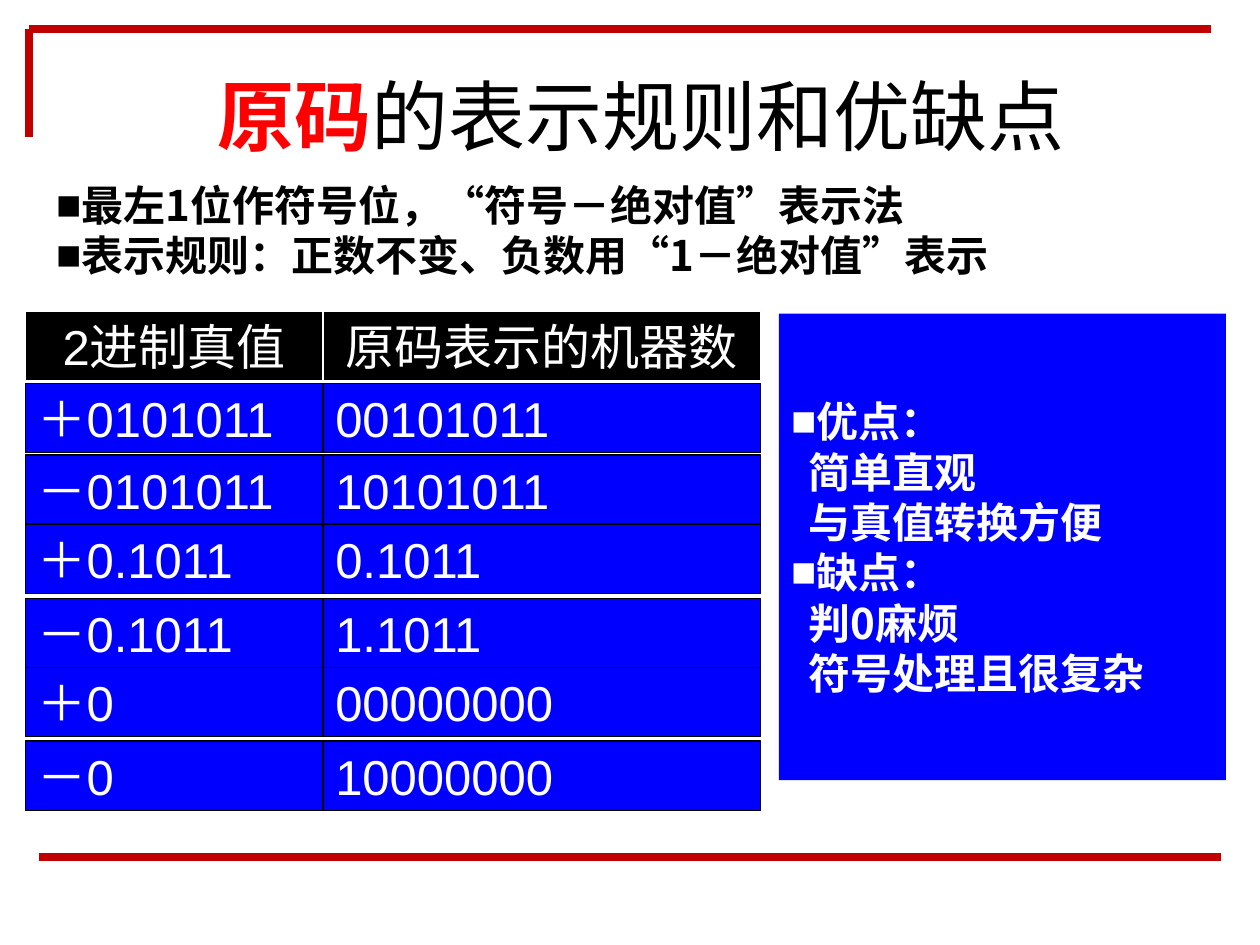
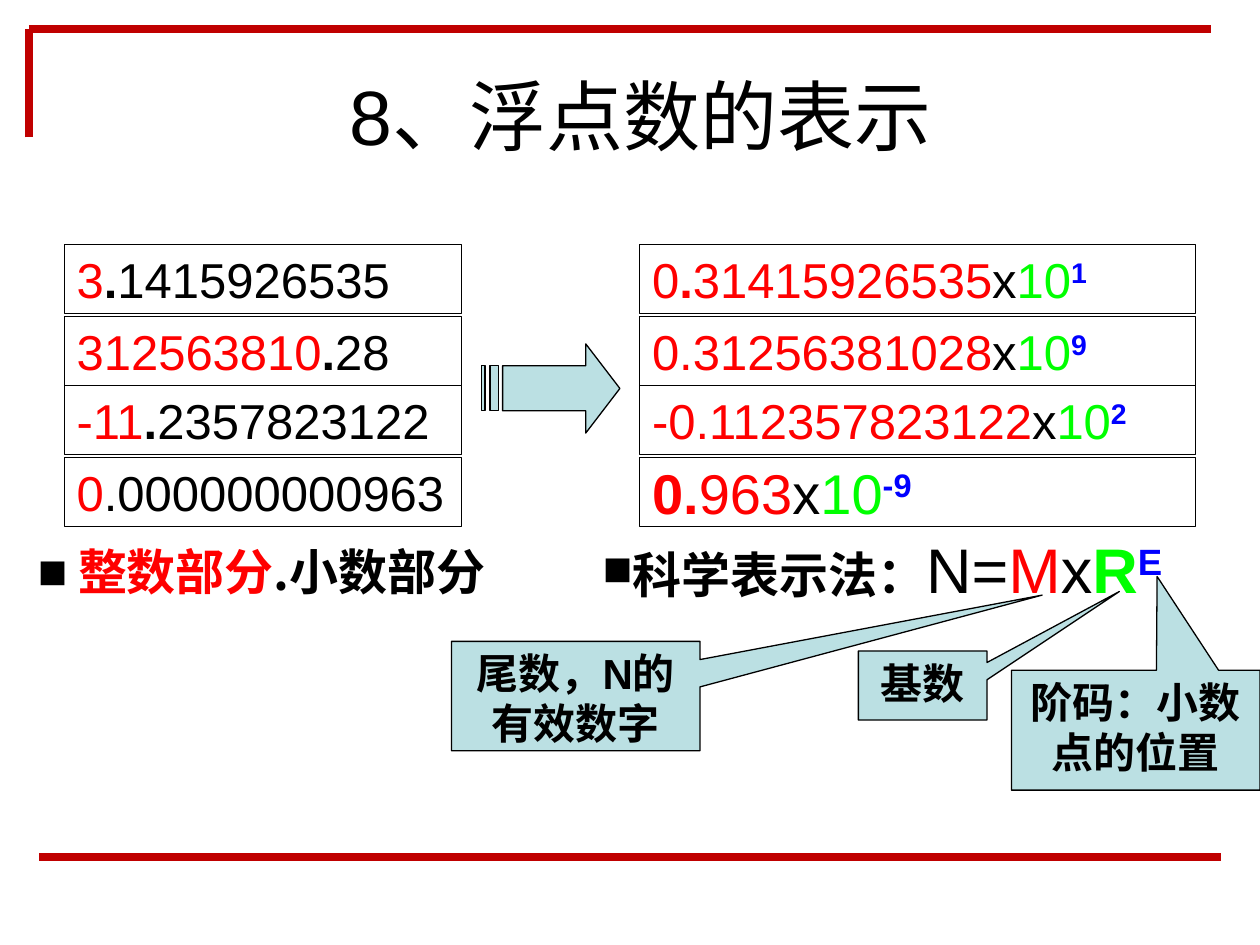
from dataclasses import dataclass

from lxml.etree import SubElement
from pptx import Presentation
from pptx.dml.color import RGBColor
from pptx.enum.shapes import MSO_CONNECTOR, MSO_SHAPE
from pptx.enum.text import MSO_ANCHOR, MSO_AUTO_SIZE, PP_ALIGN
from pptx.oxml.ns import qn
from pptx.util import Pt

BLACK = RGBColor(0x00, 0x00, 0x00)
WHITE = RGBColor(0xFF, 0xFF, 0xFF)
RED = RGBColor(0xFF, 0x00, 0x00)
GREEN = RGBColor(0x00, 0xFF, 0x00)
BLUE = RGBColor(0x00, 0x00, 0xFF)
DARK_RED = RGBColor(0xC0, 0x00, 0x00)
PALE_TEAL = RGBColor(0xBB, 0xE0, 0xE3)
LATIN, CHINESE = "Arial", "Noto Sans CJK SC"


@dataclass
class Span:
    text: str
    color: RGBColor = BLACK
    bold: bool = False
    size: float = 28
    font: str = LATIN
    raised: bool = False


@dataclass
class Para:
    spans: list
    bullet: bool = False
    margin: float = 0
    hanging: float = 0
    align: PP_ALIGN = PP_ALIGN.LEFT
    spacing: float = 0


def heavy(text, color=BLACK, size=24, font=CHINESE):
    return Span(text, color, True, size, font)


def power(mantissa, exponent, size=28):
    return [*mantissa, Span("x", size=size), Span("10", GREEN, size=size),
            Span(exponent, BLUE, True, size, raised=True)]


FRAME_BARS = [(16.5, 78.5, 16.5, 16.5), (16.5, 16.5, 692, 16.5), (22.5, 489.5, 697.5, 489.5)]
ROW_HEIGHT = 39.5
LINE_PITCH = 28.8

RULES_TITLE = [Span("原码", RED, True, 44), Span("的表示规则和优缺点", size=44)]
RULES = [
    ["最左1位作符号位，", "“", "符号－绝对值", "”", "表示法"],
    ["表示规则：正数不变、负数用", "“", "1－绝对值", "”", "表示"],
]
REVIEW = [("优点：", ["简单直观", "与真值转换方便"]), ("缺点：", ["判0麻烦", "符号处理且很复杂"])]
CODE_COLUMNS = [
    (14.5, 170, "2进制真值",
     ["＋0101011", "－0101011", "＋0.1011", "－0.1011", "＋0", "－0"]),
    (184.5, 250, "原码表示的机器数",
     ["00101011", "10101011", "0.1011", "1.1011", "00000000", "10000000"]),
]
CODE_TOPS = [219, 260, 299.5, 342, 381.5, 423.5]
HEADER_TOP = 178

FLOAT_TITLE = [Span("8、浮点数的表示", size=44)]
FLOAT_TOPS = [139.75, 180.75, 220.25, 261.5]
DECIMALS = [
    [Span("3", RED), Span(".", bold=True), Span("1415926535")],
    [Span("312563810", RED), Span(".", bold=True), Span("28")],
    [Span("-11", RED), Span(".", bold=True), Span("2357823122")],
    [Span("0", RED), Span(".000000000963")],
]
SCIENTIFIC = [
    power([Span("0", RED), Span(".", RED, True), Span("31415926535", RED)], "1"),
    power([Span("0.31256381028", RED)], "9"),
    power([Span("-0.112357823122", RED)], "2"),
    power([Span("0.", RED, True, 32), Span("963", RED, size=32)], "-9", 32),
]
PARTS = [heavy("整数部分", RED, 28), heavy(".小数部分", size=28)]
FORMULA = [heavy("科学表示法：", size=28), Span("N=", size=36), Span("M", RED, size=36),
           Span("x", size=36), Span("R", GREEN, True, 36),
           Span("E", BLUE, True, 36, raised=True)]
CALLOUTS = [
    (["尾数，N的", "有效数字"], (258, 366.5, 142, 62.5), (1.877, -0.923)),
    (["基数"], (490.5, 372, 73.5, 39.5), (1.529, -1.361)),
    (["阶码：小数点的位置"], (578, 383, 142, 68.5), (0.086, -1.282)),
]
ARROW_BODY = [(334.75, 196.5), (334.75, 209), (287.25, 209), (287.25, 234.75),
              (334.75, 234.75), (334.75, 247.5), (354.25, 222)]
ARROW_STRIPES = [(280, 285), (275, 277.25)]


def write(shape, paras, anchor=MSO_ANCHOR.MIDDLE):
    """Fill a shape with formatted paragraphs."""
    frame = shape.text_frame
    frame.word_wrap = True
    frame.auto_size = MSO_AUTO_SIZE.NONE
    frame.vertical_anchor = anchor
    for number, item in enumerate(paras):
        para = frame.add_paragraph() if number else frame.paragraphs[0]
        para.alignment = item.align
        if item.spacing:
            para.line_spacing = Pt(item.spacing)
        settings = para._p.get_or_add_pPr()
        settings.set("marL", str(Pt(item.margin)))
        settings.set("indent", str(-Pt(item.hanging)))
        if item.bullet:
            tint = SubElement(SubElement(settings, qn("a:buClr")), qn("a:srgbClr"))
            tint.set("val", str(BLACK if item.hanging else item.spans[0].color))
            SubElement(settings, qn("a:buFont")).set("typeface", LATIN)
            SubElement(settings, qn("a:buChar")).set("char", "■")
        for part in item.spans:
            span = para.add_run()
            span.text = part.text
            span.font.size = Pt(part.size)
            span.font.bold = part.bold
            span.font.name = part.font
            span.font.color.rgb = part.color
            details = span._r.get_or_add_rPr()
            details.set("lang", "zh-CN")
            SubElement(details, qn("a:ea")).set("typeface", CHINESE)
            if part.raised:
                details.set("baseline", "30000")


def paint(shape, fill, outline=None):
    """Give a shape a flat fill and a thin outline or none."""
    shape.shadow.inherit = False
    shape.fill.solid()
    shape.fill.fore_color.rgb = fill
    if outline is None:
        shape.line.fill.background()
    else:
        shape.line.color.rgb = outline
        shape.line.width = Pt(0.75)


def add_box(shapes, area, fill, outline, paras, kind=MSO_SHAPE.RECTANGLE,
            anchor=MSO_ANCHOR.MIDDLE):
    """Add a filled preset shape holding text."""
    box = shapes.add_shape(kind, *map(Pt, area))
    paint(box, fill, outline)
    write(box, paras, anchor)
    return box


def add_text(page, area, paras):
    """Add a plain text box."""
    write(page.shapes.add_textbox(*map(Pt, area)), paras)


def add_page(deck, title):
    """Add a title-only slide with its title set."""
    page = deck.slides.add_slide(deck.slide_layouts[5])
    heading = page.shapes.title
    heading.left, heading.top, heading.width, heading.height = map(Pt, (76.5, 43.5, 579.5, 44.5))
    write(heading, [Para(title, align=PP_ALIGN.CENTER)])
    return page


def add_frame(deck, page):
    """Draw the red bars and hand them to the slide master."""
    for number, ends in enumerate(FRAME_BARS):
        bar = page.shapes.add_connector(MSO_CONNECTOR.STRAIGHT, *map(Pt, ends))
        bar.line.color.rgb = DARK_RED
        bar.line.width = Pt(4.5)
        SubElement(bar.element.spPr, qn("a:effectLst"))
        bar.element.xpath(".//p:cNvPr")[0].set("id", str(100 + number))
        deck.slide_master.shapes.element.append(bar.element)


def add_arrow(shapes):
    """Draw the striped arrow as one outline with three parts."""
    top, bottom = ARROW_BODY[1][1], ARROW_BODY[3][1]
    stripes = [[(left, top), (left, bottom), (right, bottom), (right, top)]
               for left, right in ARROW_STRIPES]
    builder = shapes.build_freeform(*map(Pt, ARROW_BODY[0]))
    for number, outline in enumerate([ARROW_BODY, *stripes]):
        points = [(Pt(x), Pt(y)) for x, y in outline]
        if number:
            builder.move_to(*points[0])
        builder.add_line_segments(points[1:], close=True)
    paint(builder.convert_to_shape(), PALE_TEAL, BLACK)


def build_rules(page):
    """Lay out the rules, the code grid and the review panel."""
    add_text(page, (25, 100, 675, 62.5),
             [Para([heavy(text, font=LATIN if text in "“”" else CHINESE) for text in rule],
                   bullet=True, spacing=LINE_PITCH) for rule in RULES])
    review = []
    for heading, points in REVIEW:
        review.append(Para([heavy(heading, WHITE)], bullet=True, spacing=LINE_PITCH))
        review += [Para([heavy(point, WHITE)], margin=10, spacing=LINE_PITCH) for point in points]
    add_box(page.shapes, (445, 179.25, 255.5, 266.5), BLUE, None, review)
    for left, width, _, codes in CODE_COLUMNS:
        for top, code in zip(CODE_TOPS, codes):
            add_box(page.shapes, (left, top, width, ROW_HEIGHT), BLUE, BLACK,
                    [Para([Span(code, WHITE)])])
    for left, width, header, _ in CODE_COLUMNS:
        add_box(page.shapes, (left, HEADER_TOP, width, ROW_HEIGHT), BLACK, WHITE,
                [Para([Span(header, WHITE)], align=PP_ALIGN.CENTER)])


def add_number_list(page, left, width, numbers):
    """Stack number boxes in a group and return its shapes."""
    shapes = page.shapes.add_group_shape().shapes
    for top, number in zip(FLOAT_TOPS, numbers):
        add_box(shapes, (left, top, width, ROW_HEIGHT), WHITE, BLACK, [Para(number)])
    return shapes


def build_floats(page):
    """Lay out both number lists, the formula and its callouts."""
    add_text(page, (14.5, 304, 300, 45), [Para(PARTS, bullet=True, margin=23, hanging=23)])
    add_number_list(page, 36.75, 227, DECIMALS)
    add_text(page, (337.5, 302.5, 357, 45), [Para(FORMULA, bullet=True)])
    for lines, area, tip in CALLOUTS:
        paras = [Para([heavy(line, font=LATIN)], align=PP_ALIGN.CENTER, spacing=LINE_PITCH)
                 for line in lines]
        callout = add_box(page.shapes, area, PALE_TEAL, BLACK, paras,
                          MSO_SHAPE.RECTANGULAR_CALLOUT, MSO_ANCHOR.TOP)
        callout.adjustments[0], callout.adjustments[1] = tip
    add_arrow(add_number_list(page, 365.5, 317.5, SCIENTIFIC))


def main():
    """Build and save the deck."""
    deck = Presentation()
    deck.slide_width, deck.slide_height = Pt(720), Pt(540)
    rules_page = add_page(deck, RULES_TITLE)
    add_frame(deck, rules_page)
    build_rules(rules_page)
    build_floats(add_page(deck, FLOAT_TITLE))
    deck.save("out.pptx")


if __name__ == "__main__":
    main()
